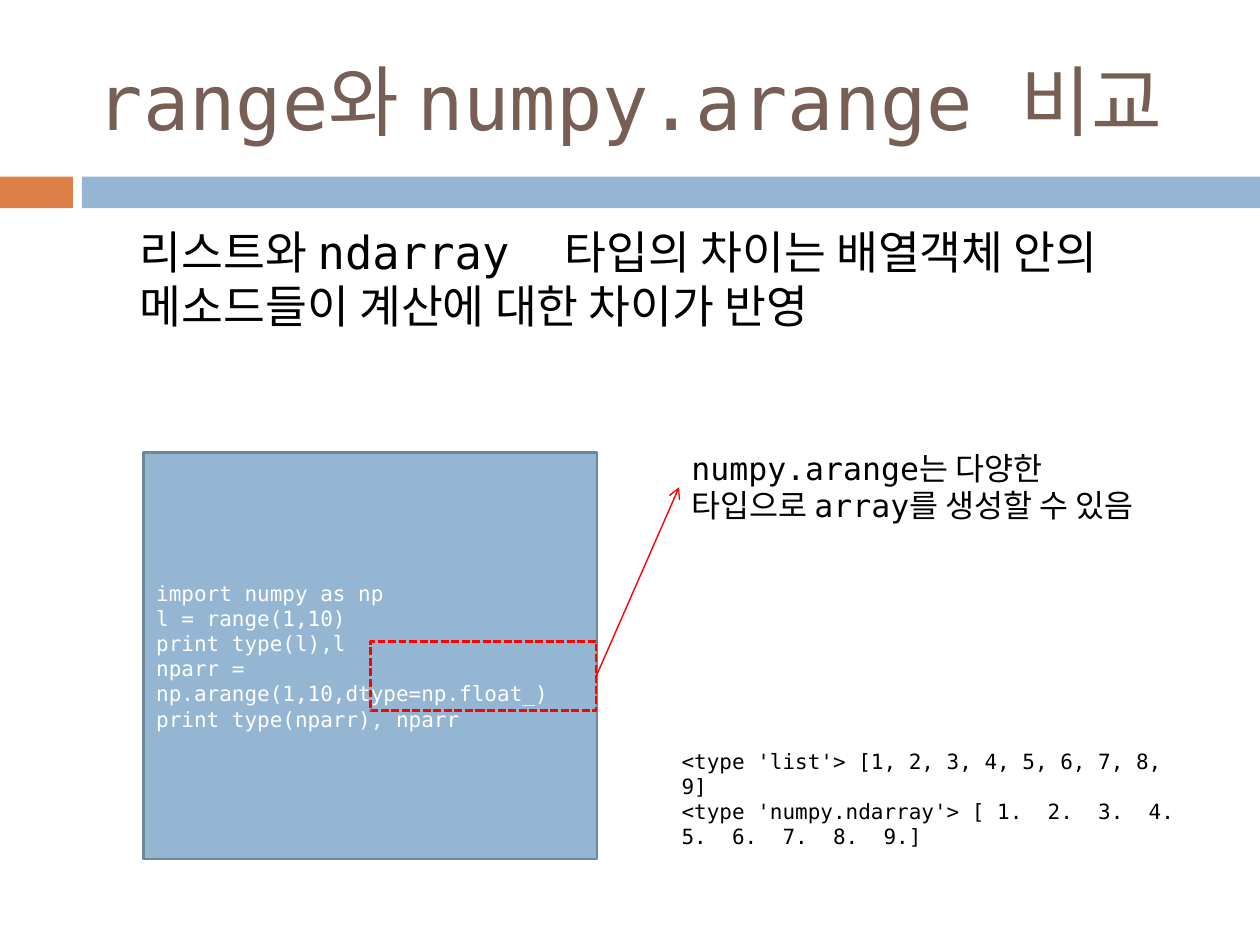
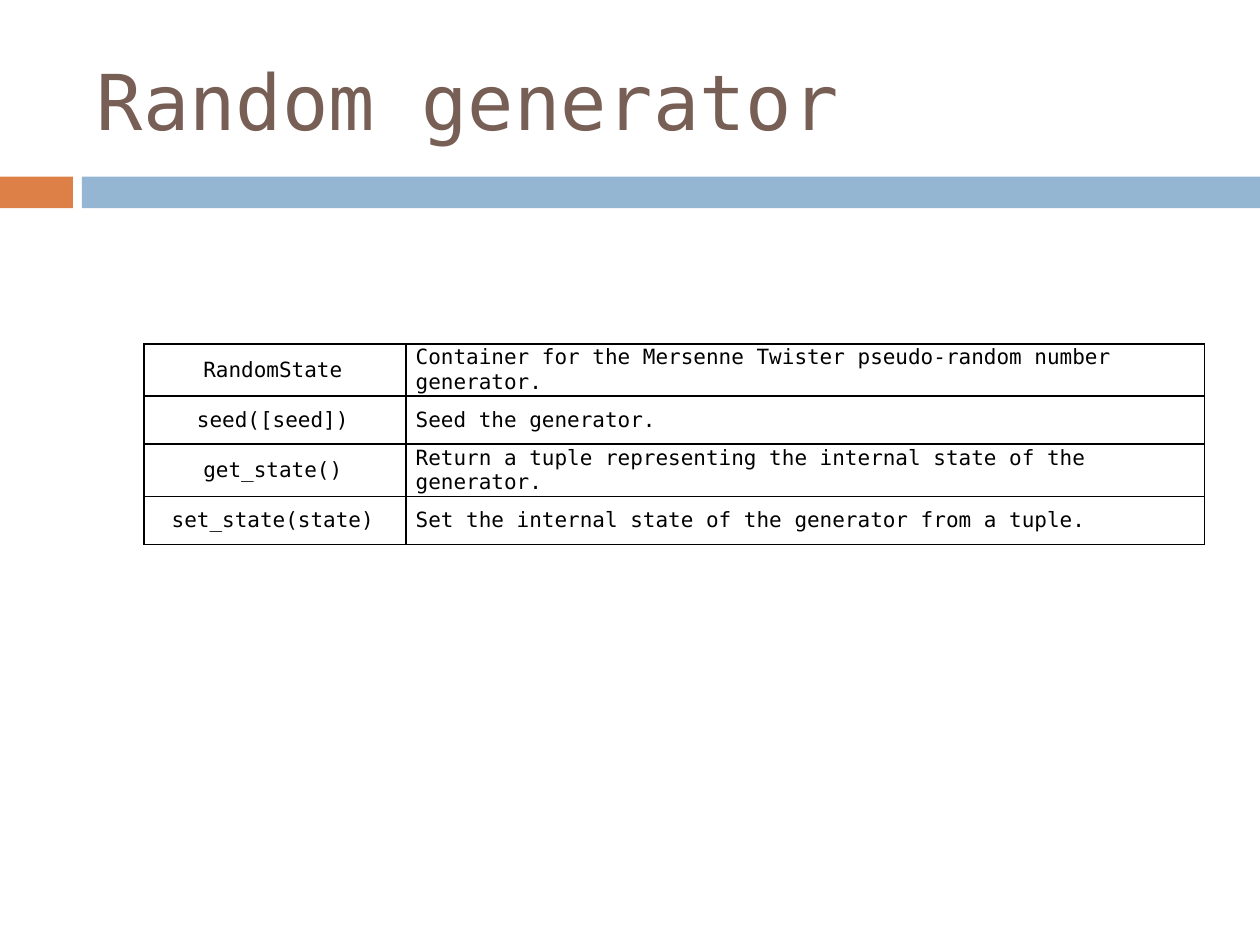
from dataclasses import dataclass

import lxml.etree as etree
import pptx
import pptx.dml.color
import pptx.enum.dml
import pptx.enum.shapes
import pptx.enum.text
import pptx.oxml.ns
import pptx.shapes.autoshape
import pptx.slide
import pptx.table
import pptx.text.text
import pptx.util

Cm = pptx.util.Cm
Pt = pptx.util.Pt
RGB = pptx.dml.color.RGBColor
Align = pptx.enum.text.PP_ALIGN
Anchor = pptx.enum.text.MSO_ANCHOR
Fit = pptx.enum.text.MSO_AUTO_SIZE
qn = pptx.oxml.ns.qn
RECT = pptx.enum.shapes.MSO_SHAPE.RECTANGLE


@dataclass(frozen=True)
class Theme:
    font: str = "DejaVu Sans Mono"
    brown: RGB = RGB(0x77, 0x5F, 0x55)
    orange: RGB = RGB(0xDD, 0x80, 0x47)
    blue: RGB = RGB(0x94, 0xB6, 0xD2)
    slate: RGB = RGB(0x6D, 0x87, 0x9B)
    red: RGB = RGB(0xFF, 0, 0)
    black: RGB = RGB(0, 0, 0)
    white: RGB = RGB(0xFF, 0xFF, 0xFF)
    title: float = 44
    body: float = 26
    note: float = 18
    code: float = 12
    edge: float = 1.5
    thin: float = 0.79
    grid: float = 1


@dataclass(frozen=True)
class Box:
    """A place on the slide, in centimetres."""
    left: float
    top: float
    width: float
    height: float

    def place(self) -> tuple:
        return tuple(Cm(n) for n in (self.left, self.top, self.width, self.height))


@dataclass(frozen=True)
class Label:
    box: Box
    lines: tuple[str, ...]
    size: float
    grow: bool = True
    before: float = 0
    indent: float = 0


@dataclass(frozen=True)
class Entry:
    name: str
    about: str


THEME = Theme()
WIDTH, HEIGHT = 25.4, 19.05
TITLE = Box(1.7, 0.64, 22.66, 2.74)
BANDS = (
    (Box(0, 3.56, 1.47, 0.64), THEME.orange),
    (Box(1.65, 3.56, WIDTH - 1.65, 0.64), THEME.blue),
)
CODE = Box(2.9, 9.12, 9.14, 8.2)
MARK = Box(7.47, 12.93, 4.55, 1.4)
LINES = (
    "import numpy as np",
    "l = range(1,10)",
    "print type(l),l",
    "nparr = np.arange(1,10,dtype=np.float_)",
    "print type(nparr), nparr",
)
CLAIM = Label(
    Box(1.3, 4.39, 22.86, 3.73),
    ("리스트와 ndarray  타입의 차이는 배열객체 안의 메소드들이 계산에 대한 차이가 반영",),
    THEME.body, grow=False, before=5.5, indent=1.27)
RESULT = Label(
    Box(13.49, 14.96, 10.8, 1.8),
    ("<type 'list'> [1, 2, 3, 4, 5, 6, 7, 8, 9]",
     "<type 'numpy.ndarray'> [ 1.  2.  3.  4.  5.  6.  7.  8.  9.]"),
    THEME.code)
NOTE = Label(
    Box(13.69, 8.92, 10.01, 1.8),
    ("numpy.arange는 다양한 타입으로 array를 생성할 수 있음",),
    THEME.note)
GRID = Box(2.9, 6.93, 21.38, 3.88)
COLS = (5.28, 16.1)
ENTRIES = (
    Entry("RandomState",
          "Container for the Mersenne Twister pseudo-random number generator."),
    Entry("seed([seed])", "Seed the generator."),
    Entry("get_state()",
          "Return a tuple representing the internal state of the generator."),
    Entry("set_state(state)",
          "Set the internal state of the generator from a tuple."),
)


def write(frame: pptx.text.text.TextFrame, lines: tuple[str, ...], size: float,
          color: RGB, align: Align = Align.LEFT) -> None:
    frame.word_wrap = True
    frame.text = "\n".join(lines)
    for para in frame.paragraphs:
        para.alignment = align
        para.font.name = THEME.font
        para.font.size = Pt(size)
        para.font.color.rgb = color


def add_rect(slide: pptx.slide.Slide, box: Box, fill: RGB | None = None,
             edge: RGB | None = None) -> pptx.shapes.autoshape.Shape:
    rect = slide.shapes.add_shape(RECT, *box.place())
    rect.shadow.inherit = False
    if fill is None:
        rect.fill.background()
    else:
        rect.fill.solid()
        rect.fill.fore_color.rgb = fill
    if edge is None:
        rect.line.fill.background()
    else:
        rect.line.color.rgb = edge
        rect.line.width = Pt(THEME.edge)
    return rect


def add_label(slide: pptx.slide.Slide, label: Label) -> pptx.shapes.autoshape.Shape:
    text = slide.shapes.add_textbox(*label.box.place())
    frame = text.text_frame
    write(frame, label.lines, label.size, THEME.black)
    frame.auto_size = Fit.SHAPE_TO_FIT_TEXT if label.grow else Fit.NONE
    for para in frame.paragraphs:
        para.space_before = Pt(label.before)
        if label.indent:
            para._p.get_or_add_pPr().set("marL", str(Cm(label.indent)))
    return text


def add_arrow(slide: pptx.slide.Slide, start: pptx.shapes.autoshape.Shape,
              end: pptx.shapes.autoshape.Shape) -> None:
    """Join the right side of start to the left side of end."""
    kind = pptx.enum.shapes.MSO_CONNECTOR.STRAIGHT
    link = slide.shapes.add_connector(kind, 0, 0, 0, 0)
    link.begin_connect(start, 3)
    link.end_connect(end, 1)
    link.line.color.rgb = THEME.red
    link.line.width = Pt(THEME.thin)
    etree.SubElement(link.get_or_add_ln(), qn("a:tailEnd"), type="arrow")
    etree.SubElement(link.element.spPr, qn("a:effectLst"))


def add_slide(deck: pptx.presentation.Presentation, title: str) -> pptx.slide.Slide:
    slide = deck.slides.add_slide(deck.slide_layouts.get_by_name("Title Only"))
    head = slide.shapes.title
    head.left, head.top, head.width, head.height = TITLE.place()
    write(head.text_frame, (title,), THEME.title, THEME.brown)
    head.text_frame.auto_size = Fit.NONE
    head.text_frame.vertical_anchor = Anchor.MIDDLE
    return slide


def share_bands(slide: pptx.slide.Slide) -> None:
    """Put the bands on the slide's layout, so that all slides show them."""
    tree = slide.slide_layout.shapes.element
    for index, (box, color) in enumerate(BANDS):
        band = add_rect(slide, box, color)
        band.element.nvSpPr.cNvPr.set("id", str(100 + index))
        tree.append(band.element)


def rule_cell(cell: pptx.table._Cell) -> None:
    """Draw a line on all four sides of the cell."""
    props = cell._tc.get_or_add_tcPr()
    for side in ("lnL", "lnR", "lnT", "lnB"):
        line = etree.SubElement(props, qn(f"a:{side}"), w=str(Pt(THEME.grid)))
        fill = etree.SubElement(line, qn("a:solidFill"))
        etree.SubElement(fill, qn("a:srgbClr"), val=str(THEME.black))


def fill_cell(cell: pptx.table._Cell, text: str, left: float, align: Align) -> None:
    write(cell.text_frame, (text,), THEME.code, THEME.black, align)
    cell.vertical_anchor = Anchor.MIDDLE
    cell.margin_left, cell.margin_right = Cm(left), Cm(0.18)
    cell.margin_top = cell.margin_bottom = Cm(0.03)
    rule_cell(cell)
    cell.fill.solid()
    cell.fill.fore_color.rgb = THEME.white


def add_grid(slide: pptx.slide.Slide) -> None:
    table = slide.shapes.add_table(len(ENTRIES), len(COLS), *GRID.place()).table
    table.first_row = table.horz_banding = False
    for col, width in zip(table.columns, COLS):
        col.width = Cm(width)
    for row, entry in zip(table.rows, ENTRIES):
        fill_cell(row.cells[0], entry.name, 0.1, Align.CENTER)
        fill_cell(row.cells[1], entry.about, 0.2, Align.LEFT)


def build_range(deck: pptx.presentation.Presentation) -> None:
    slide = add_slide(deck, "range와 numpy.arange 비교")
    share_bands(slide)
    add_label(slide, CLAIM)
    code = add_rect(slide, CODE, THEME.blue, THEME.slate)
    write(code.text_frame, LINES, THEME.code, THEME.white)
    code.text_frame.vertical_anchor = Anchor.MIDDLE
    add_label(slide, RESULT)
    note = add_label(slide, NOTE)
    mark = add_rect(slide, MARK, edge=THEME.red)
    mark.line.dash_style = pptx.enum.dml.MSO_LINE.SQUARE_DOT
    add_arrow(slide, mark, note)


def build_random(deck: pptx.presentation.Presentation) -> None:
    add_grid(add_slide(deck, "Random generator"))


def main() -> None:
    deck = pptx.Presentation()
    deck.slide_width, deck.slide_height = Cm(WIDTH), Cm(HEIGHT)
    build_range(deck)
    build_random(deck)
    deck.save("out.pptx")


if __name__ == "__main__":
    main()
